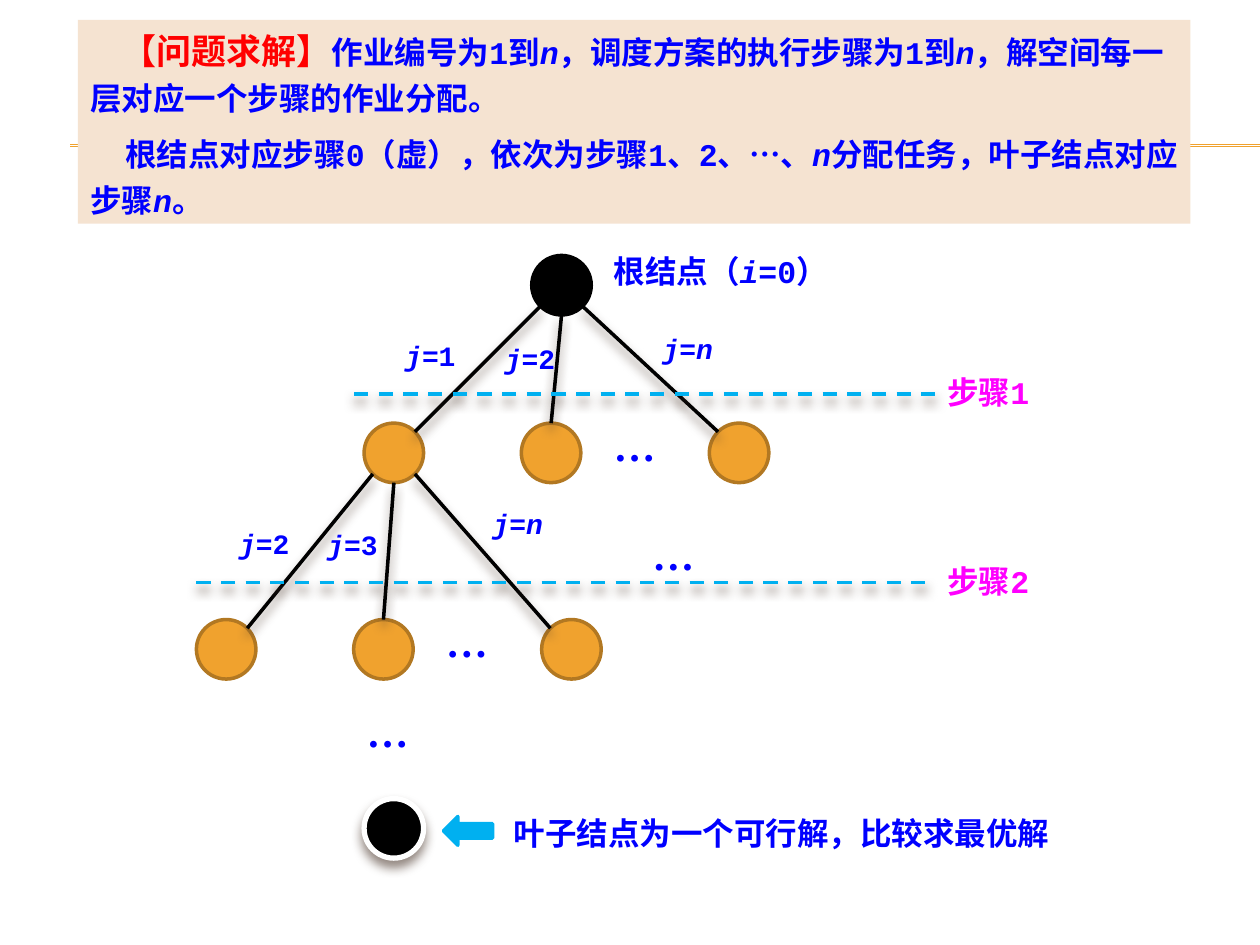
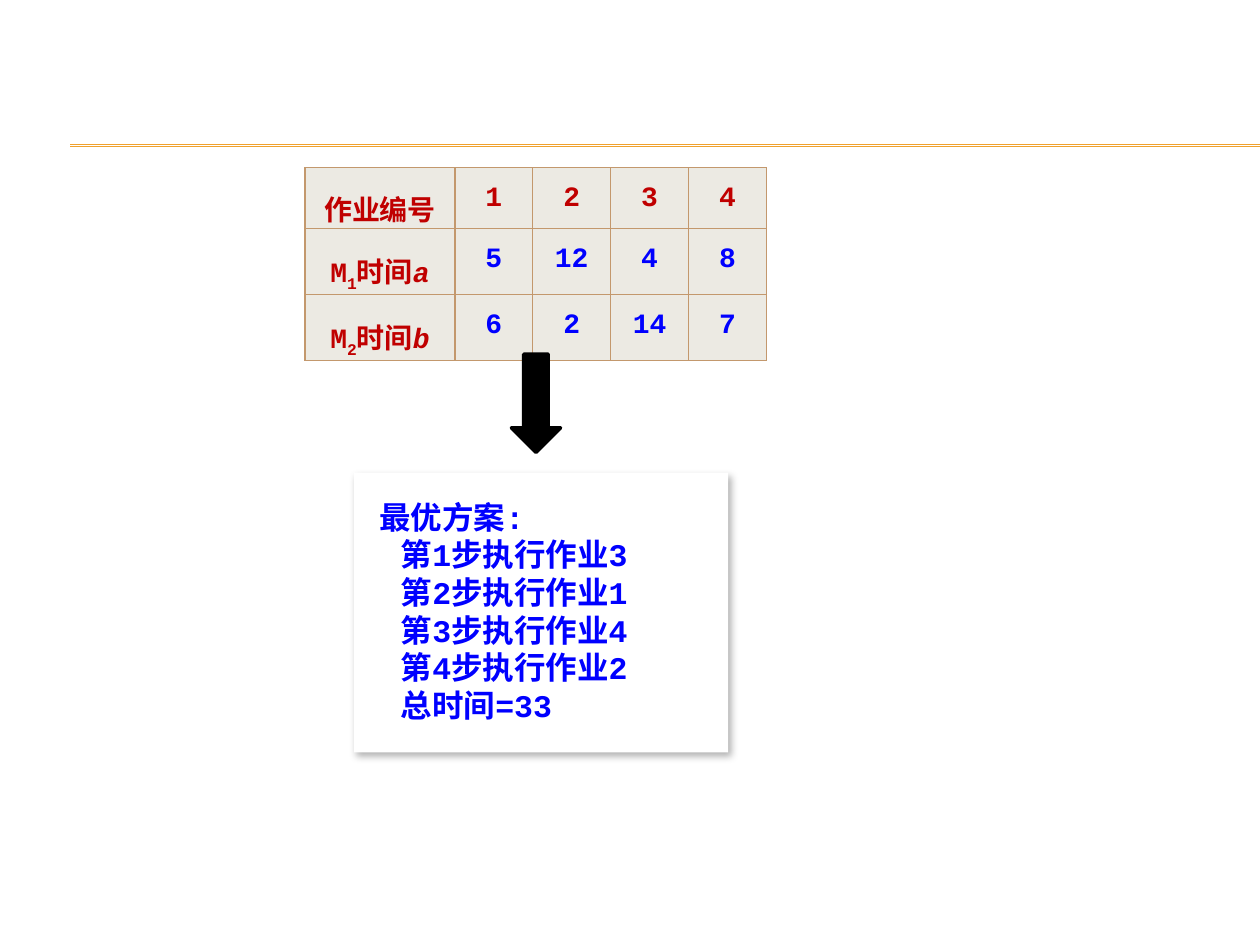
"""Build two slides on job scheduling: the solution-space tree and a worked example."""
import math
from dataclasses import dataclass
from typing import NamedTuple

from lxml import etree
from pptx import Presentation
from pptx.dml.color import RGBColor
from pptx.enum.dml import MSO_LINE
from pptx.enum.shapes import MSO_CONNECTOR, MSO_SHAPE
from pptx.enum.text import MSO_ANCHOR, PP_ALIGN
from pptx.oxml.ns import qn
from pptx.util import Cm, Pt

STRAIGHT = MSO_CONNECTOR.STRAIGHT
DASH = MSO_LINE.DASH
RECT, OVAL = MSO_SHAPE.RECTANGLE, MSO_SHAPE.OVAL
LEFT_ARROW, DOWN_ARROW = MSO_SHAPE.LEFT_ARROW, MSO_SHAPE.DOWN_ARROW
TOP, CENTER = MSO_ANCHOR.TOP, PP_ALIGN.CENTER

BLACK = RGBColor(0x00, 0x00, 0x00)
WHITE = RGBColor(0xFF, 0xFF, 0xFF)
BLUE = RGBColor(0x00, 0x00, 0xFF)
RED = RGBColor(0xFF, 0x00, 0x00)
DARK_RED = RGBColor(0xC0, 0x00, 0x00)
MAGENTA = RGBColor(0xFF, 0x00, 0xFF)
CYAN = RGBColor(0x00, 0xB0, 0xF0)
ORANGE = RGBColor(0xF0, 0xA2, 0x2E)
BROWN = RGBColor(0xB2, 0x78, 0x22)
PEACH = RGBColor(0xF5, 0xE3, 0xD1)
CELL_FILL = RGBColor(0xEC, 0xEA, 0xE3)
BORDER = RGBColor(0xC3, 0x98, 0x6D)
SHADE = RGBColor(0x4E, 0x3B, 0x30)

MONO, CJK, SERIF = "Courier New", "Noto Sans CJK SC", "Times New Roman"
RADIUS = 0.6
DIAGONAL = RADIUS * math.sqrt(0.5)
CHILD_OFFSETS = (0, 3.17, 6.96)


@dataclass(frozen=True)
class Style:
    """Size, colour and fonts of a run."""
    size: float = 18
    color: RGBColor = BLUE
    font: str = MONO
    east_asian: str = CJK


@dataclass(frozen=True)
class Shadow:
    """Outer shadow: colour, opacity in percent, blur, distance and angle."""
    color: RGBColor
    alpha: int
    blur: float
    dist: float
    angle: int


class Label(NamedTuple):
    """A text box; asterisks in the text enclose italics."""
    text: str
    left: float
    top: float
    width: float
    style: Style


class Node(NamedTuple):
    """A tree node given by its centre."""
    x: float
    y: float
    fill: RGBColor = ORANGE
    line: RGBColor = BROWN
    weight: float = 2


class Step(NamedTuple):
    """A dashed line that marks one step."""
    text: str
    left: float
    y: float


BODY = Style()
EDGE = Style(size=16)
DOTS = Style(24, font=SERIF, east_asian=SERIF)
STEP = Style(color=MAGENTA)
HEADING = Style(20, RED, CJK)
HEAD_CELL = Style(16, DARK_RED)
SOFT = Shadow(SHADE, 60, 6, 4, 90)
CARD = Shadow(BLACK, 30, 4.5, 2.6, 53)

ROOT = Node(11.32, 5.75, BLACK, BLACK)
LEAF = Node(7.94, 16.7, BLACK, WHITE, 3)
FIRST_CHILDREN = (Node(7.94, 9.13), Node(4.56, 13.09))
STEPS = (Step("步骤1", 7.14, 7.94), Step("步骤2", 3.96, 11.74))
LABELS = (
    Label("根结点（*i*=0）", 12.12, 4.95, 5.16, BODY),
    Label("*j*=1", 7.92, 6.71, 1.98, EDGE),
    Label("*j*=2", 9.93, 6.76, 1.98, EDGE),
    Label("*j*=*n*", 13.11, 6.55, 1.98, EDGE),
    Label("*j*=2", 4.57, 10.49, 1.98, EDGE),
    Label("*j*=3", 6.35, 10.52, 1.98, EDGE),
    Label("*j*=*n*", 9.68, 10.08, 1.98, EDGE),
    Label("…", 12.9, 10.52, 1.6, DOTS),
    Label("…", 7.14, 14.1, 1.6, DOTS),
    Label("叶子结点为一个可行解，比较求最优解", 10.11, 16.28, 12.5,
          Style(font=CJK)),
)
TABLE_ROWS = (
    ("作业编号", "1", "2", "3", "4"),
    ("M_1_时间*a*", "5", "12", "4", "8"),
    ("M_2_时间*b*", "6", "2", "14", "7"),
)
PLAN = ("最优方案:", "第1步执行作业3", "第2步执行作业1", "第3步执行作业4",
        "第4步执行作业2", "总时间=33")


def add_runs(p, text: str, style: Style) -> None:
    """Append runs, with *italic* and _subscript_ markup."""
    for i, part in enumerate(text.split("*")):
        for k, piece in enumerate(part.split("_")):
            if not piece:
                continue
            r = p.add_run()
            r.text = piece
            r.font.size, r.font.bold = Pt(style.size), True
            r.font.italic = i % 2 == 1
            r.font.name = style.font
            r.font.color.rgb = style.color
            rPr = r.font._element
            etree.SubElement(rPr, qn("a:ea")).set("typeface", style.east_asian)
            if k % 2:
                rPr.set("baseline", "-25000")


def indent(p, length: float) -> None:
    """Indent the first line of a paragraph."""
    p._p.get_or_add_pPr().set("indent", str(Cm(length)))


def set_effects(sp, shadow: Shadow | None = None) -> None:
    """Replace the theme shadow by the given one or by none."""
    effects = etree.SubElement(sp._element.spPr, qn("a:effectLst"))
    if shadow:
        outer = etree.SubElement(
            effects, qn("a:outerShdw"), blurRad=str(Pt(shadow.blur)),
            dist=str(Pt(shadow.dist)), dir=str(shadow.angle * 60000),
            algn="ctr", rotWithShape="0")
        color = etree.SubElement(outer, qn("a:srgbClr"), val=str(shadow.color))
        etree.SubElement(color, qn("a:alpha"), val=str(shadow.alpha * 1000))


def add_line(s, start: tuple[float, float], end: tuple[float, float],
             color: RGBColor, weight: float = 2,
             shadow: Shadow | None = None):
    """Draw a straight line."""
    line = s.shapes.add_connector(STRAIGHT, *map(Cm, start + end))
    line.line.color.rgb, line.line.width = color, Pt(weight)
    set_effects(line, shadow)
    return line


def add_box(s, kind, at: tuple[float, float, float, float], fill: RGBColor,
            line: RGBColor | None = None, weight: float = 2,
            shadow: Shadow | None = None):
    """Draw a filled preset shape."""
    sp = s.shapes.add_shape(kind, *map(Cm, at))
    sp.fill.solid()
    sp.fill.fore_color.rgb = fill
    if line is None:
        sp.line.fill.background()
    else:
        sp.line.color.rgb, sp.line.width = line, Pt(weight)
    set_effects(sp, shadow)
    sp.text_frame.word_wrap = True
    sp.text_frame.vertical_anchor = TOP
    return sp


def add_label(s, label: Label) -> None:
    """Draw a text box."""
    height = label.style.size * 0.053 + 0.05
    sp = s.shapes.add_textbox(
        *map(Cm, (label.left, label.top, label.width, height)))
    sp.text_frame.word_wrap = True
    add_runs(sp.text_frame.paragraphs[0], label.text, label.style)


def add_node(s, node: Node, shadow: Shadow | None = None) -> None:
    """Draw a round node."""
    at = (node.x - RADIUS, node.y - RADIUS, 2 * RADIUS, 2 * RADIUS)
    add_box(s, OVAL, at, node.fill, node.line, node.weight, shadow)


def add_children(s, parent: Node, first: Node) -> None:
    """Draw a row of children with edges from the parent."""
    for offset, side in zip(CHILD_OFFSETS, (-1, 0, 1)):
        child = Node(first.x + offset, first.y)
        add_node(s, child)
        dx = side * DIAGONAL
        dy = DIAGONAL if side else RADIUS
        add_line(s, (parent.x + dx, parent.y + dy),
                 (child.x - dx, child.y - dy), BLACK, shadow=SOFT)
    add_label(s, Label("…", first.x + 4.18, first.y - 0.8, 1.6, DOTS))


def add_step(s, step: Step) -> None:
    """Draw a dashed step line with its name at the right."""
    right = 18.85
    line = add_line(s, (step.left, step.y), (right, step.y), CYAN, shadow=SOFT)
    line.line.dash_style = DASH
    add_label(s, Label(step.text, right, step.y - 0.54, 2.39, STEP))


def new_slide(prs):
    """Add a blank slide with the double rule."""
    s = prs.slides.add_slide(prs.slide_layouts[6])
    for y in (2.92, 2.95):
        add_line(s, (1.42, y), (25.4, y), ORANGE, 0.75)
    return s


def build_tree(prs) -> None:
    """Build the solution-space slide."""
    s = new_slide(prs)
    tf = add_box(s, RECT, (1.57, 0.4, 22.43, 4.11), PEACH).text_frame
    p = tf.paragraphs[0]
    add_runs(p, "【问题求解】", HEADING)
    add_runs(p, "作业编号为1到*n*，调度方案的执行步骤为1到*n*，"
                "解空间每一层对应一个步骤的作业分配。", BODY)
    indent(p, 0.63)
    p = tf.add_paragraph()
    add_runs(p, "根结点对应步骤0（虚），依次为步骤1、2、…、*n*分配任务，"
                "叶子结点对应步骤*n*。", BODY)
    indent(p, 0.71)
    for p in tf.paragraphs:
        p.alignment = None
        p.line_spacing, p.space_before = Pt(26), Pt(6)
        p._p.pPr.set("algn", "l")

    add_node(s, ROOT)
    for parent, first in zip((ROOT, FIRST_CHILDREN[0]), FIRST_CHILDREN):
        add_children(s, parent, first)
    for label in LABELS:
        add_label(s, label)
    for step in STEPS:
        add_step(s, step)
    add_node(s, LEAF, SOFT)
    add_box(s, LEFT_ARROW, (8.94, 16.46, 0.99, 0.58), CYAN, CYAN)


def format_cell(cell, text: str, style: Style) -> None:
    """Fill a table cell and draw its borders."""
    cell.margin_left = cell.margin_right = Cm(0.18)
    cell.margin_top = cell.margin_bottom = 0
    p = cell.text_frame.paragraphs[0]
    p.alignment, p.line_spacing = CENTER, 1.5
    add_runs(p, text, style)
    tcPr = cell._tc.get_or_add_tcPr()
    for side in ("a:lnL", "a:lnR", "a:lnT", "a:lnB"):
        ln = etree.SubElement(tcPr, qn(side), w=str(Pt(0.79)))
        fill = etree.SubElement(ln, qn("a:solidFill"))
        etree.SubElement(fill, qn("a:srgbClr"), val=str(BORDER))
    cell.fill.solid()
    cell.fill.fore_color.rgb = CELL_FILL


def build_example(prs) -> None:
    """Build the slide with the job table and the best plan."""
    s = new_slide(prs)
    tf = add_box(s, RECT, (7.14, 9.53, 7.54, 5.64), WHITE,
                 shadow=CARD).text_frame
    tf.margin_left = tf.margin_top = tf.margin_bottom = Cm(0.51)
    for i, text in enumerate(PLAN):
        p = tf.add_paragraph() if i else tf.paragraphs[0]
        add_runs(p, text, BODY)
        p.line_spacing = Pt(21.5)
        indent(p, 0.43 if i else 0)
        p._p.pPr.set("algn", "l")

    table = s.shapes.add_table(len(TABLE_ROWS), len(TABLE_ROWS[0]), Cm(6.15),
                               Cm(3.38), Cm(9.3), Cm(3.51)).table
    table.first_row = table.horz_banding = False
    for i, column in enumerate(table.columns):
        column.width = Cm(1.57 if i else 3.02)
    for i, row in enumerate(TABLE_ROWS):
        table.rows[i].height = Cm(1.17)
        for k, text in enumerate(row):
            style = Style(size=16) if i and k else HEAD_CELL
            format_cell(table.cell(i, k), text, style)
    add_box(s, DOWN_ARROW, (10.31, 7.14, 0.99, 1.98), BLACK, BLACK)


def main() -> None:
    """Build and save the presentation."""
    prs = Presentation()
    prs.slide_width, prs.slide_height = Cm(25.4), Cm(19.05)
    build_tree(prs)
    build_example(prs)
    prs.save("out.pptx")


if __name__ == "__main__":
    main()
